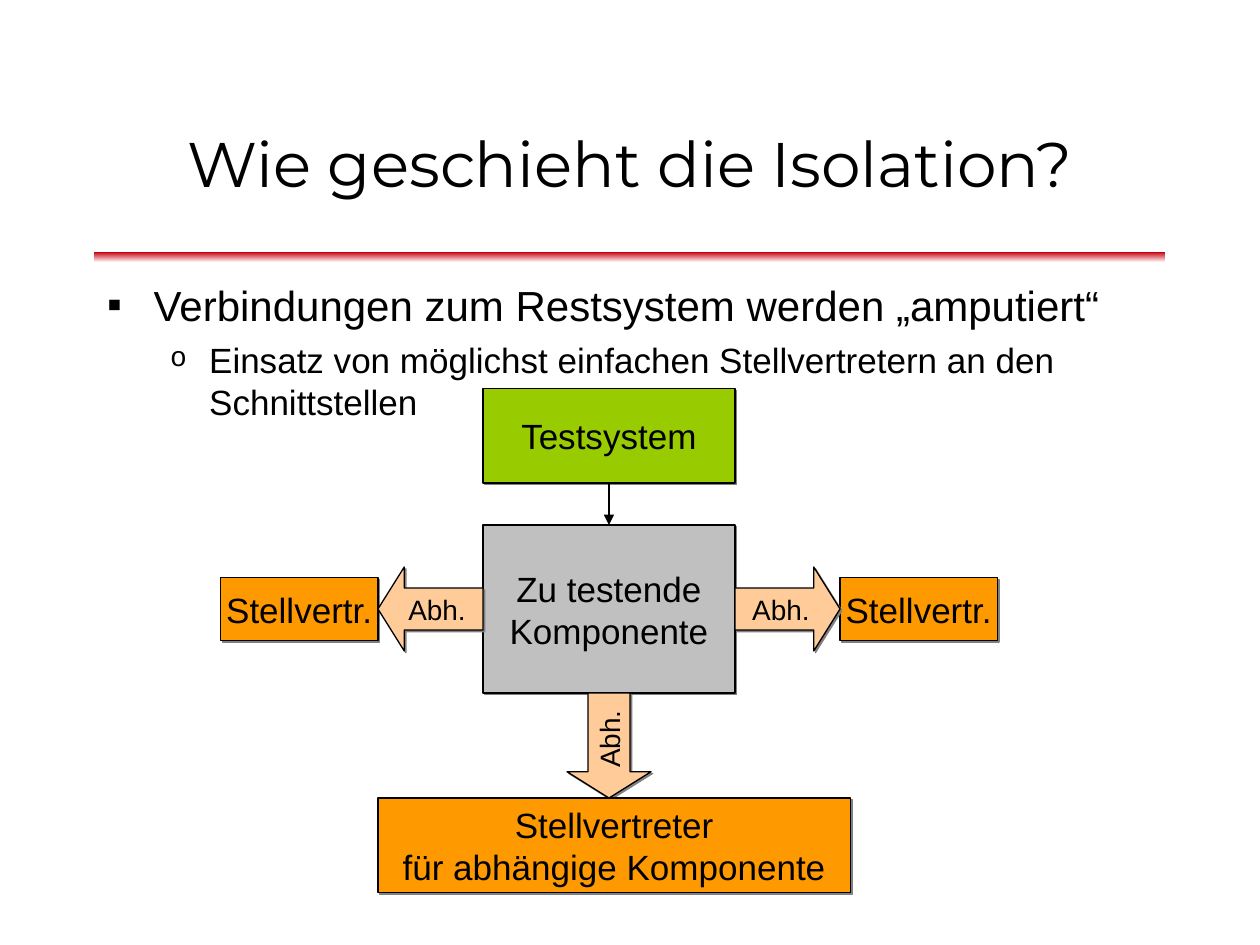
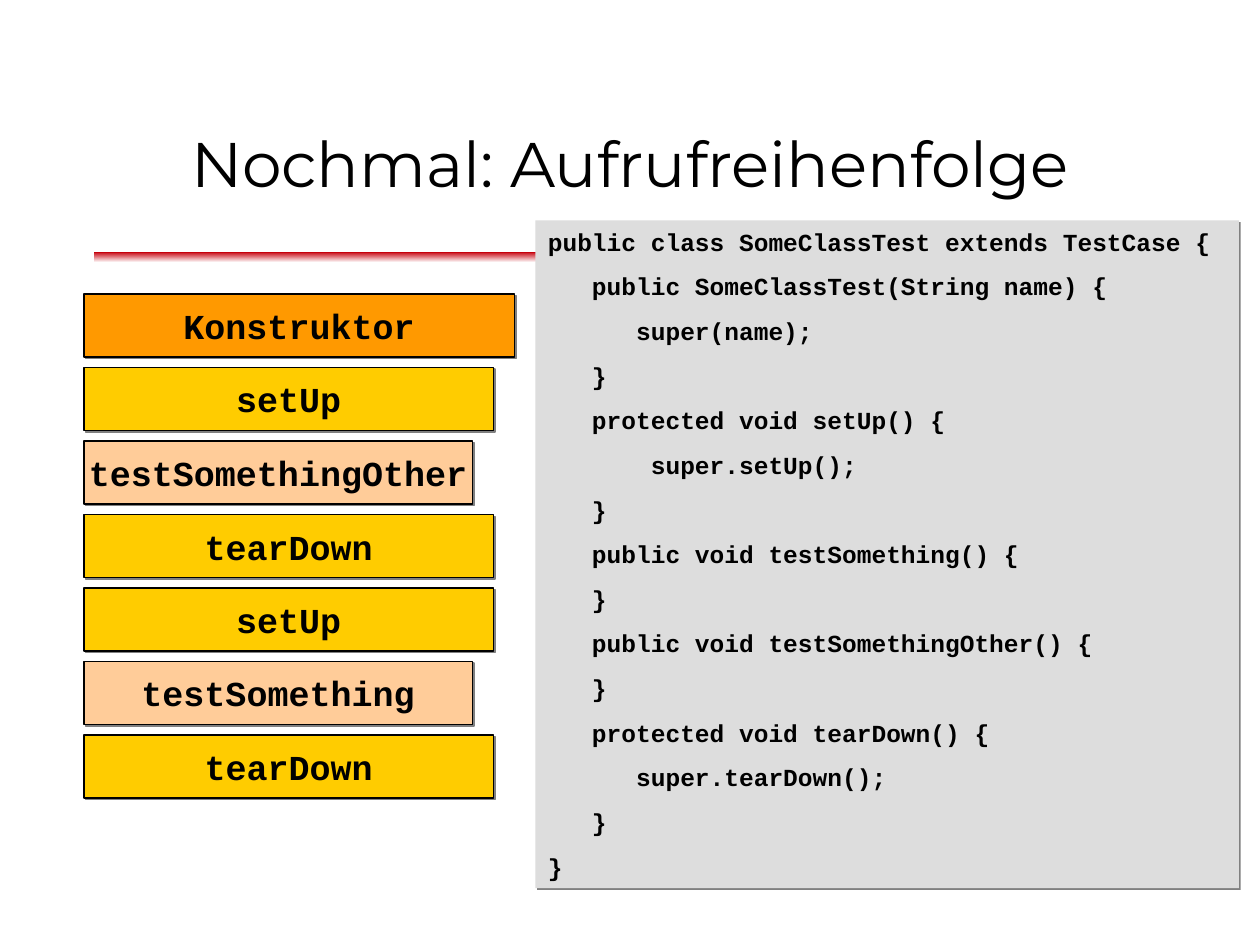
from lxml.etree import SubElement
from pptx import Presentation
from pptx.dml.color import RGBColor
from pptx.enum.shapes import MSO_CONNECTOR, MSO_SHAPE
from pptx.enum.text import MSO_ANCHOR, MSO_AUTO_SIZE, PP_ALIGN
from pptx.oxml.ns import qn
from pptx.util import Pt

COLORS = {
    "text": "000000",
    "white": "FFFFFF",
    "band": "C5000B",
    "shadow": "808080",
    "test": "99CC00",
    "component": "C0C0C0",
    "orange": "FF9900",
    "yellow": "FFCC00",
    "peach": "FFCC99",
    "code": "DDDDDD",
}
SANS, MONO, HEADING = "Arial", "Courier New", "Montserrat"

CODE = """public class SomeClassTest extends TestCase {
   public SomeClassTest(String name) {
      super(name);
   }
   protected void setUp() {
       super.setUp();
   }
   public void testSomething() {
   }
   public void testSomethingOther() {
   }
   protected void tearDown() {
      super.tearDown();
   }
}"""


def rgb(name):
    return RGBColor.from_string(COLORS[name])


def write(tf, text, size=20, font=SANS, bold=False, align=PP_ALIGN.CENTER,
          anchor=MSO_ANCHOR.MIDDLE, wrap=False, gap=0):
    tf.auto_size = MSO_AUTO_SIZE.NONE
    tf.word_wrap = wrap
    tf.vertical_anchor = anchor
    tf.margin_left = tf.margin_right = Pt(7.2)
    tf.margin_top = tf.margin_bottom = Pt(3.6)
    for i, line in enumerate(text.split("\n")):
        p = tf.add_paragraph() if i else tf.paragraphs[0]
        p.text = line
        p.alignment = align
        p.space_before = Pt(gap if i else 0)
        for r in p.runs:
            r.font.size = Pt(size)
            r.font.name = font
            r.font.bold = bold
            r.font.color.rgb = rgb("text")


def place(sp, left, top, width, height):
    sp.left, sp.top, sp.width, sp.height = map(Pt, (left, top, width, height))


def add_shadow(sp):
    sp.shadow.inherit = False
    effects = sp.element.spPr.find(qn("a:effectLst"))
    shadow = SubElement(effects, qn("a:outerShdw"), dist=str(Pt(1.4)),
                        dir="2700000", algn="ctr", rotWithShape="0")
    SubElement(shadow, qn("a:srgbClr"), val=COLORS["shadow"])


def add_box(s, text, box, fill, kind=MSO_SHAPE.RECTANGLE, outlined=True, **style):
    sp = s.shapes.add_shape(kind, *map(Pt, box))
    sp.fill.solid()
    sp.fill.fore_color.rgb = rgb(fill)
    if outlined:
        sp.line.color.rgb = rgb("text")
        sp.line.width = Pt(0.75)
    else:
        sp.line.fill.background()
    add_shadow(sp)
    write(sp.text_frame, text, **style)
    return sp


def add_dependency(s, left, top, flip=False, rotation=0):
    sp = add_box(s, "Abh.", (left, top, 60, 48), "peach",
                 kind=MSO_SHAPE.RIGHT_ARROW, size=16)
    sp.adjustments[1] = 0.313
    sp.rotation = rotation
    if flip:
        sp.element.spPr.find(qn("a:xfrm")).set("flipH", "1")


def add_arrow(s, x1, y1, x2, y2):
    line = s.shapes.add_connector(MSO_CONNECTOR.STRAIGHT, *map(Pt, (x1, y1, x2, y2)))
    line.line.color.rgb = rgb("text")
    line.line.width = Pt(0.75)
    spPr = line.element.spPr
    SubElement(spPr.find(qn("a:ln")), qn("a:tailEnd"), type="triangle")
    SubElement(spPr, qn("a:effectLst"))


def add_slide(prs, layout, title):
    s = prs.slides.add_slide(prs.slide_layouts[layout])
    place(s.shapes.title, 54, 48, 612, 90)
    write(s.shapes.title.text_frame, title, size=36, font=HEADING, wrap=True)
    return s


def add_master_band(prs, s):
    band = s.shapes.add_shape(MSO_SHAPE.RECTANGLE, *map(Pt, (54, 144, 612, 6)))
    band.fill.gradient()
    band.fill.gradient_angle = 90
    for stop, name in zip(band.fill.gradient_stops, ("white", "band")):
        stop.color.rgb = rgb(name)
        stop.position = 0 if name == "white" else 1
    band.line.fill.background()
    band.shadow.inherit = False
    band.element.nvSpPr.cNvPr.set("id", "20")
    prs.slide_master.shapes.element.append(band.element)


def set_bullet(p, char, font, percent, margin, hanging):
    pPr = p._p.get_or_add_pPr()
    pPr.set("marL", str(Pt(margin)))
    pPr.set("indent", str(-Pt(hanging)))
    color = SubElement(pPr, qn("a:buClr"))
    SubElement(color, qn("a:srgbClr"), val=COLORS["text"])
    SubElement(pPr, qn("a:buSzPct"), val=str(percent * 1000))
    SubElement(pPr, qn("a:buFont"), typeface=font)
    SubElement(pPr, qn("a:buChar"), char=char)


def add_list(s, point, detail):
    body = s.placeholders[1]
    place(body, 54, 156, 612, 348.5)
    tf = body.text_frame
    write(tf, f"{point}\n{detail}", align=PP_ALIGN.LEFT,
          anchor=MSO_ANCHOR.TOP, wrap=True, gap=5)
    first, second = tf.paragraphs
    first.runs[0].font.size = Pt(24)
    second.level = 1
    set_bullet(first, "▪", SANS, 100, 26.64, 26.64)
    set_bullet(second, "o", MONO, 80, 58.32, 22.32)


def build_isolation(prs):
    s = add_slide(prs, 1, "Wie geschieht die Isolation?")
    add_master_band(prs, s)
    add_list(s, "Verbindungen zum Restsystem werden „amputiert“",
             "Einsatz von möglichst einfachen Stellvertretern an den Schnittstellen")
    add_box(s, "Testsystem", (276, 222, 144, 54), "test")
    add_box(s, "Zu testende\nKomponente", (276, 300, 144, 96), "component")
    add_arrow(s, 348, 276, 348, 300)
    for left in (126, 480):
        add_box(s, "Stellvertr.", (left, 330, 90, 36), "orange")
    add_dependency(s, 216, 324, flip=True)
    add_dependency(s, 420, 324)
    add_dependency(s, 318, 402, flip=True, rotation=270)
    add_box(s, "Stellvertreter\vfür abhängige Komponente", (216, 456, 270, 54), "orange")


def build_call_order(prs):
    s = add_slide(prs, 5, "Nochmal: Aufrufreihenfolge")
    constructor, fixture, test = (246, "orange"), (234, "yellow"), (222, "peach")
    calls = [
        ("Konstruktor", constructor),
        ("setUp", fixture),
        ("testSomethingOther", test),
        ("tearDown", fixture),
        ("setUp", fixture),
        ("testSomething", test),
        ("tearDown", fixture),
    ]
    for i, (name, (width, fill)) in enumerate(calls):
        add_box(s, name, (48, 168 + 42 * i, width, 36), fill, font=MONO, bold=True)
    add_box(s, CODE, (306, 126, 402, 381.6), "code", outlined=False, size=14,
            font=MONO, bold=True, align=PP_ALIGN.LEFT, anchor=MSO_ANCHOR.TOP,
            wrap=True, gap=8.7)


def main():
    prs = Presentation()
    prs.slide_width, prs.slide_height = Pt(720), Pt(540)
    build_isolation(prs)
    build_call_order(prs)
    prs.save("out.pptx")


if __name__ == "__main__":
    main()
